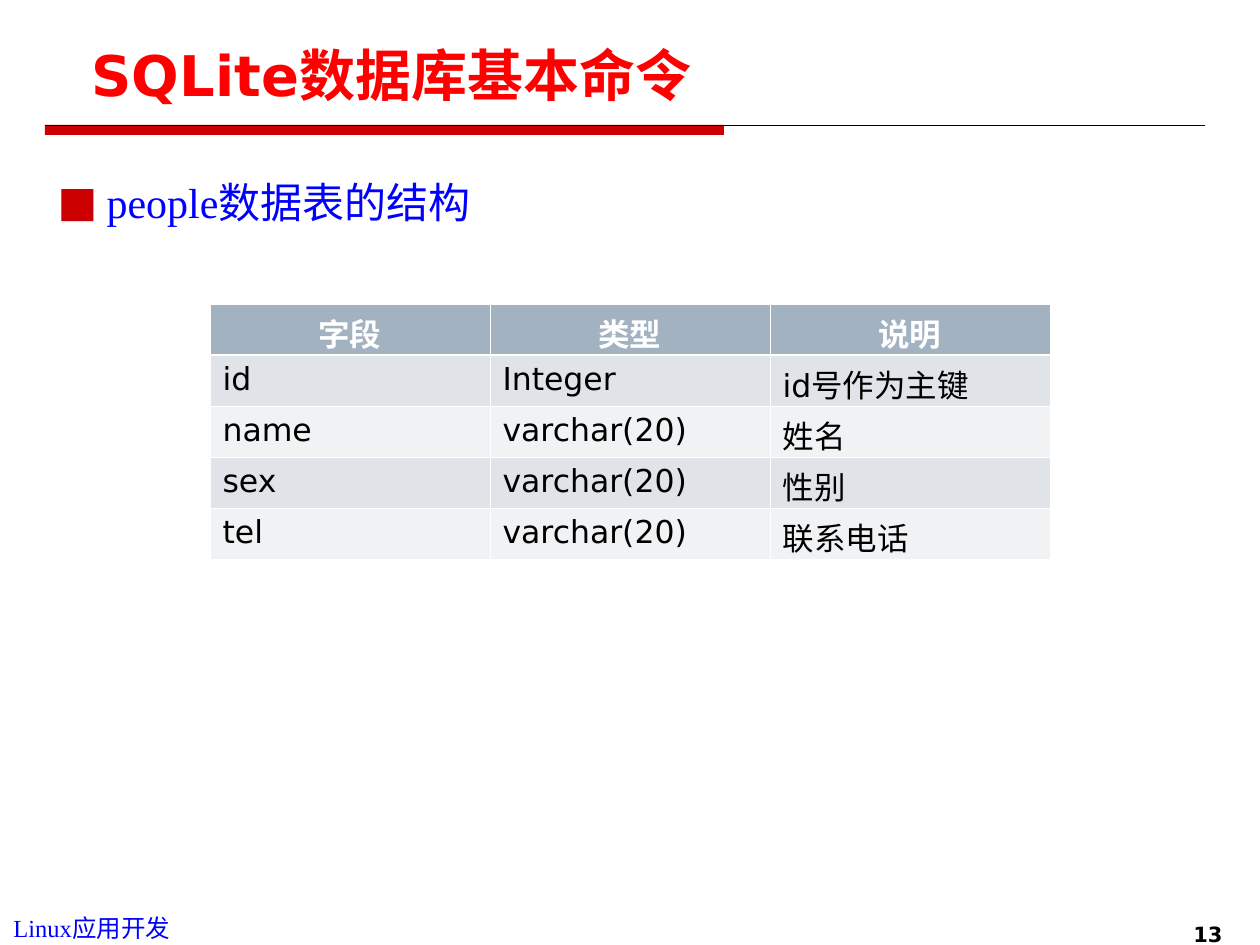
from lxml import etree
from pptx import Presentation
from pptx.dml.color import RGBColor
from pptx.enum.shapes import MSO_CONNECTOR, MSO_SHAPE
from pptx.enum.text import MSO_ANCHOR, MSO_AUTO_SIZE, PP_ALIGN
from pptx.oxml.ns import qn
from pptx.util import Pt

LEFT, CENTER, RIGHT = PP_ALIGN.LEFT, PP_ALIGN.CENTER, PP_ALIGN.RIGHT
TOP, BOTTOM = MSO_ANCHOR.TOP, MSO_ANCHOR.BOTTOM
NO_FIT = MSO_AUTO_SIZE.NONE
RECTANGLE, STRAIGHT = MSO_SHAPE.RECTANGLE, MSO_CONNECTOR.STRAIGHT

HEADING = "SQLite数据库基本命令"
TOPIC = "people数据表的结构"
COURSE = "Linux应用开发"
PAGE = "13"
FIELDS = [
    ("字段", "类型", "说明"),
    ("id", "Integer", "id号作为主键"),
    ("name", "varchar(20)", "姓名"),
    ("sex", "varchar(20)", "性别"),
    ("tel", "varchar(20)", "联系电话"),
]

THEME = {
    "sans": "DejaVu Sans", "serif": "Times New Roman",
    "heading": "FF0000", "topic": "0000FF", "accent": "CC0000",
    "ink": "000000", "paper": "FFFFFF",
    "header": "A3B2C1", "bands": ("F0F2F4", "E0E4E9"),
    "heading_pt": 32, "topic_pt": 24, "cell_pt": 18,
    "course_pt": 14, "page_pt": 12,
    "thin_pt": 0.45, "thick_pt": 1.47, "rule_pt": 0.5,
}
PX_PER_INCH = 126
MARGIN, RULE_Y, RULE_W, BAR_W, BAR_H = 45, 125, 1160, 679, 10
TABLE_X, TABLE_Y, COLUMN_W, ROW_H = 210, 304, 280, 51


def px(value):
    return round(value * 914400 / PX_PER_INCH)


def color(name):
    return RGBColor.from_string(THEME.get(name, name))


def place(shape, left, top, width, height):
    shape.left, shape.top = px(left), px(top)
    shape.width, shape.height = px(width), px(height)


def write(frame, text, face, size, ink, bold=False, align=LEFT):
    paragraph = frame.paragraphs[0]
    paragraph.alignment = align
    run = paragraph.add_run()
    run.text = text
    run.font.name = THEME[face]
    run.font.size = Pt(THEME[size])
    run.font.color.rgb = color(ink)
    run.font.bold = bold
    return paragraph


def add_bullet(paragraph, mark, ink, indent):
    properties = paragraph._p.get_or_add_pPr()
    properties.set("marL", str(px(indent)))
    properties.set("indent", str(-px(indent)))
    tint = etree.SubElement(properties, qn("a:buClr"))
    etree.SubElement(tint, qn("a:srgbClr"), val=THEME[ink])
    etree.SubElement(properties, qn("a:buFont"), typeface=THEME["sans"])
    etree.SubElement(properties, qn("a:buChar"), char=mark)


def add_borders(cell, row):
    widths = {"L": "thin_pt", "R": "thin_pt",
              "T": "thick_pt" if row == 1 else "thin_pt",
              "B": "thick_pt" if row == 0 else "thin_pt"}
    properties = cell._tc.get_or_add_tcPr()
    for side, width in widths.items():
        border = etree.SubElement(properties, qn(f"a:ln{side}"), w=str(Pt(THEME[width])))
        fill = etree.SubElement(border, qn("a:solidFill"))
        etree.SubElement(fill, qn("a:srgbClr"), val=THEME["paper"])


def add_rule(slide):
    bar = slide.shapes.add_shape(RECTANGLE, px(MARGIN), px(RULE_Y), px(BAR_W), px(BAR_H))
    bar.shadow.inherit = False
    bar.fill.solid()
    bar.fill.fore_color.rgb = color("accent")
    bar.line.fill.background()
    rule = slide.shapes.add_connector(
        STRAIGHT, px(MARGIN), px(RULE_Y), px(MARGIN + RULE_W), px(RULE_Y))
    rule.line.color.rgb = color("ink")
    rule.line.width = Pt(THEME["rule_pt"])
    etree.SubElement(rule._element.spPr, qn("a:effectLst"))


def add_footer(slide):
    course = slide.shapes.add_textbox(px(1), px(902), px(188), px(47)).text_frame
    course.word_wrap = False
    line = write(course, COURSE, "serif", "course_pt", "topic")
    line.line_spacing = 1.15
    line.space_after = Pt(3.5)
    page = slide.shapes.add_textbox(px(1096), px(915), px(139), px(30)).text_frame
    page.word_wrap = True
    write(page, PAGE, "sans", "page_pt", "ink", True, RIGHT)


def add_fields(slide):
    rows, columns = len(FIELDS), len(FIELDS[0])
    table = slide.shapes.add_table(
        rows, columns, px(TABLE_X), px(TABLE_Y),
        px(COLUMN_W * columns), px(ROW_H * rows)).table
    for row, values in enumerate(FIELDS):
        header = row == 0
        for column, value in enumerate(values):
            cell = table.cell(row, column)
            add_borders(cell, row)
            cell.fill.solid()
            cell.fill.fore_color.rgb = color("header" if header else THEME["bands"][row % 2])
            write(cell.text_frame, value, "sans", "cell_pt",
                  "paper" if header else "ink", header, CENTER if header else LEFT)


def main():
    deck = Presentation()
    deck.slide_width, deck.slide_height = px(1260), px(945)
    slide = deck.slides.add_slide(deck.slide_layouts[1])
    heading, topic = slide.placeholders
    add_rule(slide)
    add_footer(slide)

    place(heading, 79, 35, 1103, 79)
    place(topic, MARGIN, 145, RULE_W, 753)
    for holder, anchor in ((heading, BOTTOM), (topic, TOP)):
        holder.text_frame.auto_size = NO_FIT
        holder.text_frame.vertical_anchor = anchor
    write(heading.text_frame, HEADING, "sans", "heading_pt", "heading", True)
    item = write(topic.text_frame, TOPIC, "serif", "topic_pt", "topic")
    item.line_spacing = 1.5
    item.space_before = Pt(6)
    add_bullet(item, "■", "accent", 49)

    add_fields(slide)
    deck.save("out.pptx")


if __name__ == "__main__":
    main()
